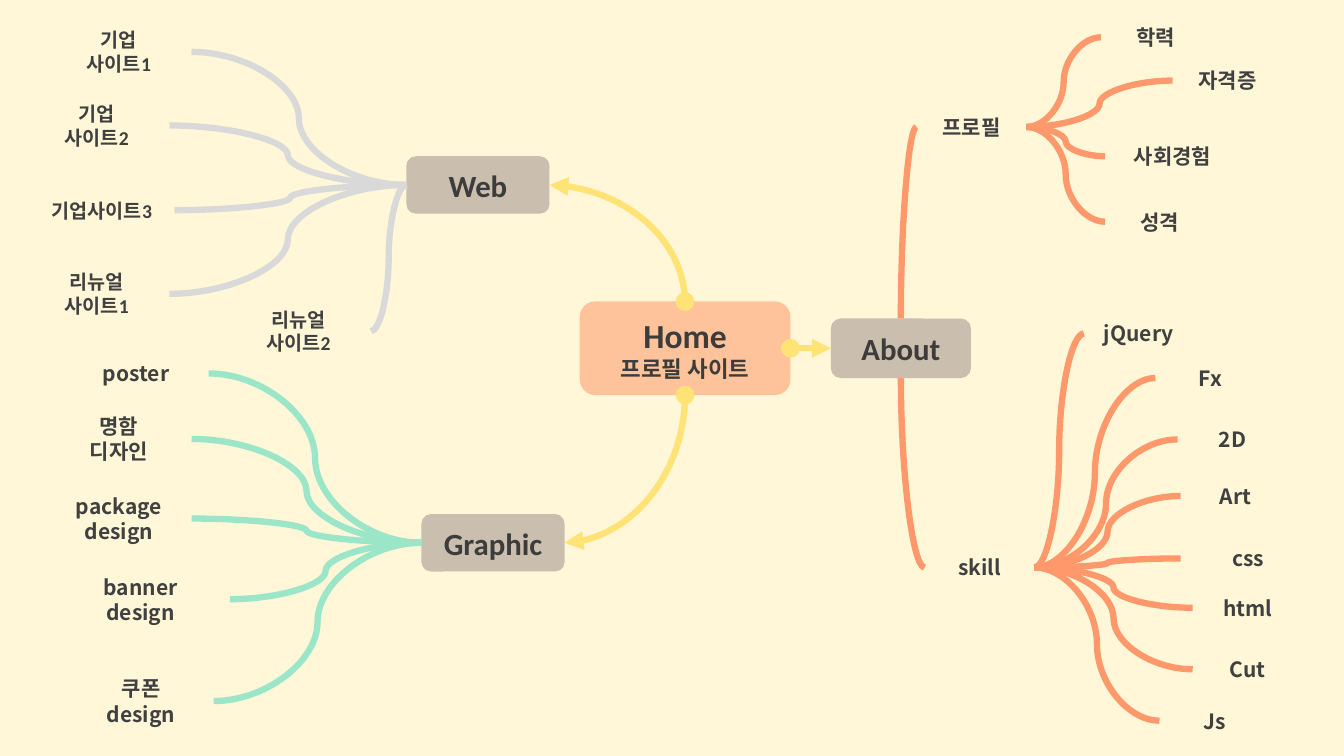
from lxml.etree import SubElement
from pptx import Presentation
from pptx.dml.color import RGBColor
from pptx.enum.shapes import MSO_CONNECTOR as Connector, MSO_SHAPE as Shape
from pptx.enum.text import MSO_ANCHOR as Anchor, PP_ALIGN as Align
from pptx.oxml.ns import qn
from pptx.util import Inches, Pt

UNIT = Inches(0.01)
COLUMNS, ROWS = 1333, 750
TOP, LEFT, BOTTOM, RIGHT = range(4)
LATIN, KOREAN = "Calibri", "Noto Sans CJK KR"
CREAM, PEACH, TAUPE, YELLOW = "FFF7D8", "FFC39B", "CABEAE", "FFE376"
CORAL, MINT, GREY = "FF996B", "9BE5C8", "D9D9D9"
DARK, SOFT_DARK = "3C3C3C", "404040"

HOME = ("Home\n프로필 사이트", 575, 299, 209, 93)
NODES = {
    "About": (824, 316, 139, 59),
    "Graphic": (418, 510, 142, 57),
    "Web": (403, 155, 142, 57),
}
MAIN_LINKS = [("About", RIGHT, LEFT), ("Web", TOP, RIGHT), ("Graphic", BOTTOM, RIGHT)]
ABOUT_TOPICS = {
    "프로필": (TOP, 909, 111, 109, 30),
    "skill": (BOTTOM, 917, 548, 109, 30),
}
BRANCHES = {
    "프로필": dict(side=RIGHT, color=CORAL, size=15, font=KOREAN, height=30, leaves=[
        ("학력", 1092, 22, 109), ("자격증", 1163, 65, 109),
        ("사회경험", 1096, 140, 134), ("성격", 1096, 205, 109)]),
    "skill": dict(side=RIGHT, color=CORAL, size=15, font=KOREAN, height=30, leaves=[
        ("jQuery", 1075, 316, 109), ("Fx", 1146, 360, 109),
        ("2D", 1168, 421, 109), ("Art", 1171, 477, 109),
        ("css", 1171, 539, 134), ("html", 1183, 588, 109),
        ("Cut", 1183, 649, 109), ("Js", 1150, 700, 109)]),
    "Graphic": dict(side=LEFT, color=MINT, size=15, font=KOREAN, height=59, leaves=[
        ("poster", 63, 341, 144), ("명함\n디자인", 46, 406, 144),
        ("package\ndesign", 46, 485, 144), ("banner\ndesign", 51, 565, 177),
        ("쿠폰\ndesign", 68, 666, 144)]),
    "Web": dict(side=LEFT, color=GREY, size=14, font=LATIN, height=59, leaves=[
        ("기업\n사이트1", 46, 22, 144), ("기업\n사이트2", 24, 95, 144),
        ("기업사이트3", 29, 179, 144), ("리뉴얼\n사이트1", 24, 262, 144),
        ("리뉴얼\n사이트2", 224, 299, 144)]),
}


def rgb(value):
    return RGBColor.from_string(value)


def add_box(slide, text, left, top, width, height, *, sizes, font=LATIN,
            color=DARK, fill=None, outline=Shape.ROUNDED_RECTANGLE):
    box = slide.shapes.add_shape(
        outline, *(UNIT * length for length in (left, top, width, height)))
    box.shadow.inherit = False
    box.line.fill.background()
    if fill:
        box.fill.solid()
        box.fill.fore_color.rgb = rgb(fill)
    else:
        box.fill.background()
    frame = box.text_frame
    frame.word_wrap = True
    frame.vertical_anchor = Anchor.MIDDLE
    frame.text = text
    for paragraph, size in zip(frame.paragraphs, sizes):
        paragraph.alignment = Align.CENTER
        for run in paragraph.runs:
            run.font.name = font
            run.font.size = Pt(size)
            run.font.bold = True
            run.font.color.rgb = rgb(color)
            SubElement(run.font._element, qn("a:ea"), typeface=KOREAN)
    return box


def make_quarter_curve(connector):
    right = connector.end_x > connector.begin_x
    up = connector.end_y < connector.begin_y
    left, top = connector.left, connector.top
    width, height = connector.width, connector.height
    connector.left = left + (width - height) // 2
    connector.top = top + (height - width) // 2
    connector.width, connector.height = height, width
    properties = connector._element.spPr
    transform = properties.find(qn("a:xfrm"))
    transform.set("rot", "5400000")
    transform.set("flipH", str(int(up)))
    transform.set("flipV", str(int(right)))
    properties.find(qn("a:prstGeom")).set("prst", "curvedConnector2")


def link(slide, start, start_side, end, end_side, color, arrow=False):
    connector = slide.shapes.add_connector(Connector.CURVE, 0, 0, 0, 0)
    connector.begin_connect(start, start_side)
    connector.end_connect(end, end_side)
    if start_side in (TOP, BOTTOM):
        make_quarter_curve(connector)
    connector.line.color.rgb = rgb(color)
    connector.line.width = Pt(4.5)
    if arrow:
        line = connector.line._get_or_add_ln()
        SubElement(line, qn("a:headEnd"), type="oval")
        SubElement(line, qn("a:tailEnd"), type="triangle")
    SubElement(connector._element.spPr, qn("a:effectLst"))


def main():
    presentation = Presentation()
    presentation.slide_width = UNIT * COLUMNS
    presentation.slide_height = UNIT * ROWS
    slide = presentation.slides.add_slide(presentation.slide_layouts[6])
    slide.background.fill.solid()
    slide.background.fill.fore_color.rgb = rgb(CREAM)

    home = add_box(slide, *HOME, sizes=(24, 16), fill=PEACH,
                   outline=Shape.FLOWCHART_ALTERNATE_PROCESS)
    nodes = {name: add_box(slide, name, *place, sizes=(22,), fill=TAUPE)
             for name, place in NODES.items()}
    for name, home_side, node_side in MAIN_LINKS:
        link(slide, home, home_side, nodes[name], node_side, YELLOW, arrow=True)

    for name, (about_side, *place) in ABOUT_TOPICS.items():
        nodes[name] = add_box(slide, name, *place, sizes=(15,), font=KOREAN,
                              color=SOFT_DARK)
        link(slide, nodes["About"], about_side, nodes[name], LEFT, CORAL)

    for name, branch in BRANCHES.items():
        side = branch["side"]
        leaf_side = LEFT if side == RIGHT else RIGHT
        for text, left, top, width in branch["leaves"]:
            leaf = add_box(slide, text, left, top, width, branch["height"],
                           sizes=(branch["size"],) * 2, font=branch["font"],
                           color=SOFT_DARK)
            link(slide, nodes[name], side, leaf, leaf_side, branch["color"])

    presentation.save("out.pptx")


if __name__ == "__main__":
    main()
